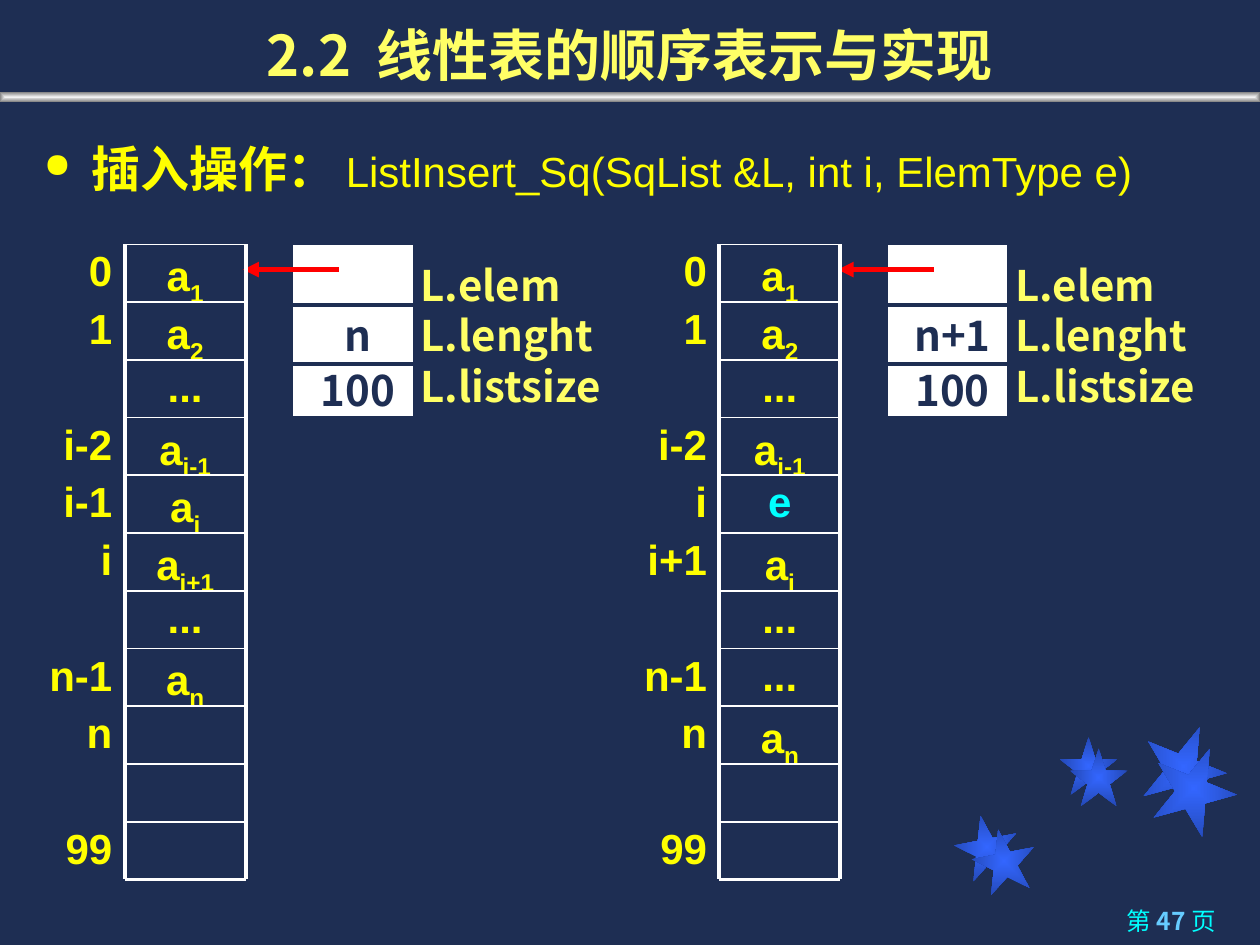
from dataclasses import dataclass
from pptx import Presentation
from pptx.dml.color import RGBColor
from pptx.enum.shapes import MSO_CONNECTOR as Connector, MSO_SHAPE as Shape
from pptx.enum.text import MSO_ANCHOR as Anchor, PP_ALIGN as Align
from pptx.oxml import parse_xml
from pptx.oxml.ns import nsdecls, qn
from pptx.util import Inches, Pt


@dataclass(frozen=True)
class Theme:
    navy: str = "1E2E53"
    white: str = "FFFFFF"
    yellow: str = "FFFF00"
    pale_yellow: str = "FFFF66"
    cyan: str = "00FFFF"
    sky: str = "66CCFF"
    red: str = "FF0000"
    star: tuple = ("3366FF", "2449B6")
    bar: tuple = ("F2F2F2", "808080")
    latin: str = "Arial"
    cjk: str = "Noto Sans CJK SC"
    title_size: int = 32
    heading_size: int = 28
    body_size: int = 24
    footer_size: int = 14
    thin: float = 1
    medium: float = 2.25
    thick: float = 3


class SlideBuilder:
    def __init__(self, slide, theme):
        self.slide = slide
        self.theme = theme
        self.shapes = slide.shapes
        slide.background.fill.solid()
        slide.background.fill.fore_color.rgb = RGBColor.from_string(theme.navy)

    def group(self):
        self.shapes = self.slide.shapes.add_group_shape().shapes

    def run(self, paragraph, text, color, size, font, bold=True, spacing=0, baseline=0):
        run = paragraph.add_run()
        run.text = text
        for name, value in {"size": Pt(size), "name": font, "bold": bold}.items():
            setattr(run.font, name, value)
        run.font.color.rgb = RGBColor.from_string(color)
        properties = run.font._element
        for name, value in {"spc": spacing, "baseline": baseline}.items():
            if value:
                properties.set(name, str(value))
        east_asian = parse_xml(f'<a:ea {nsdecls("a")} typeface="{self.theme.cjk}"/>')
        properties.find(qn("a:latin")).addnext(east_asian)

    def title(self, runs, box):
        title = self.slide.shapes.title
        for name, value in zip(("left", "top", "width", "height"), box):
            setattr(title, name, Inches(value))
        title.text_frame.vertical_anchor = Anchor.BOTTOM
        paragraph = title.text_frame.paragraphs[0]
        paragraph.alignment = Align.CENTER
        for run in runs:
            self.run(paragraph, **run)

    def text(self, box, lines, align=Align.LEFT, spacing=None, bullet=False):
        frame = self.shapes.add_textbox(*map(Inches, box)).text_frame
        frame.word_wrap = True
        for number, runs in enumerate(lines):
            paragraph = frame.add_paragraph() if number else frame.paragraphs[0]
            paragraph.alignment = align
            paragraph.line_spacing = spacing
            if bullet:
                self.bullet(paragraph)
            for run in runs:
                self.run(paragraph, **run)

    def bullet(self, paragraph):
        properties = paragraph._p.get_or_add_pPr()
        properties.set("marL", str(Inches(0.38)))
        properties.set("indent", str(-Inches(0.38)))
        for element in (
            f'<a:buClr {nsdecls("a")}><a:srgbClr val="{self.theme.yellow}"/></a:buClr>',
            f'<a:buSzPct {nsdecls("a")} val="70000"/>',
            f'<a:buChar {nsdecls("a")} char="●"/>',
        ):
            properties.append(parse_xml(element))

    def glow(self, kind, box, colors, rotation=0):
        shape = self.shapes.add_shape(kind, *map(Inches, box))
        shape.rotation = rotation
        shape.shadow.inherit = False
        shape.line.fill.background()
        shape.fill.gradient()
        for stop, color, position in zip(shape.fill.gradient_stops, colors, (0, 1)):
            stop.color.rgb = RGBColor.from_string(color)
            stop.position = position
        linear = shape._element.spPr.find(".//" + qn("a:lin"))
        linear.getparent().replace(linear, parse_xml(
            f'<a:path {nsdecls("a")} path="shape">'
            '<a:fillToRect l="50000" t="50000" r="50000" b="50000"/></a:path>'))

    def rectangle(self, box, fill, line, width):
        shape = self.shapes.add_shape(Shape.RECTANGLE, *map(Inches, box))
        shape.shadow.inherit = False
        shape.fill.solid()
        shape.fill.fore_color.rgb = RGBColor.from_string(fill)
        shape.line.color.rgb = RGBColor.from_string(line)
        shape.line.width = Pt(width)

    def line(self, start, end, color, width, arrow=False):
        line = self.shapes.add_connector(
            Connector.STRAIGHT, *map(Inches, (*start, *end)))
        line.line.color.rgb = RGBColor.from_string(color)
        line.line.width = Pt(width)
        if arrow:
            line.line._get_or_add_ln().append(
                parse_xml(f'<a:tailEnd {nsdecls("a")} type="triangle"/>'))
        line._element.spPr.append(parse_xml(f'<a:effectLst {nsdecls("a")}/>'))

    def record(self, left, length):
        theme = self.theme
        style = {"size": theme.body_size, "font": theme.cjk}
        fields = ("L.elem", "L.lenght", "L.listsize")
        self.text((left + 0.93, 2.01, 2, 1.3),
                  [[dict(text=field, color=theme.pale_yellow, **style)] for field in fields],
                  spacing=Pt(28.8))
        self.rectangle((left, 1.93, 0.98, 1.39), theme.white, theme.navy, theme.medium)
        for y in (2.42, 2.89):
            self.line((left, y), (left + 0.98, y), theme.navy, theme.medium)
        self.text((left, 2.37, 1.06, 0.98),
                  [[dict(text=value, color=theme.navy, **style)] for value in (length, "100")],
                  align=Align.CENTER, spacing=Pt(31.5))
        self.line((left + 0.38, 2.14), (left - 0.38, 2.14), theme.red, theme.thick, arrow=True)

    def array(self, left, rows, capacity=11, top=1.94, bottom=6.98, width=0.96):
        theme = self.theme
        pitch = (bottom - top) / capacity
        style = {"size": theme.body_size, "font": theme.latin}
        for row, (index, name, subscript) in enumerate(rows):
            y = top + row * pitch
            color = theme.cyan if name == "e" else theme.yellow
            if name:
                runs = [dict(text=name, color=color, **style)]
                if subscript:
                    runs.append(dict(text=subscript, color=color, baseline=-25000, **style))
                self.text((left, y, width, pitch), [runs], Align.CENTER, 0.9)
            if index:
                self.text((left - width, y, width, pitch),
                          [[dict(text=index, color=theme.yellow, **style)]], Align.RIGHT, 0.9)
        for row in range(capacity + 1):
            y = top + row * pitch
            weight = theme.medium if row == capacity else theme.thin
            self.line((left, y), (left + width, y), theme.white, weight)
        for x in (left, left + width):
            self.line((x, top), (x, bottom), theme.white, theme.medium)


def main():
    theme = Theme()
    deck = Presentation()
    deck.slide_width, deck.slide_height = Inches(10), Inches(7.5)
    page = SlideBuilder(deck.slides.add_slide(deck.slide_layouts[5]), theme)

    stars = ((7.58, 6.47, 0.5, 349), (8.41, 5.85, 0.46, 0), (9.06, 5.75, 0.67, 22),
             (7.72, 6.58, 0.5, 349), (8.49, 5.94, 0.46, 0), (9.14, 5.92, 0.67, 22))
    page.group()
    for x, y, size, rotation in stars:
        page.glow(Shape.STAR_5_POINT, (x, y, size, size), theme.star, rotation)
    page.shapes = page.slide.shapes
    page.glow(Shape.RECTANGLE, (0, 0.73, 10, 0.08), theme.bar)

    footer = {"size": theme.footer_size, "font": theme.cjk}
    page.text((7.12, 7.14, 2.63, 0.36), [[
        dict(text="第 ", color=theme.cyan, bold=False, **footer),
        dict(text="47 ", color=theme.sky, **footer),
        dict(text="页", color=theme.cyan, bold=False, **footer)]], Align.RIGHT)

    heading = {"color": theme.pale_yellow, "size": theme.title_size, "font": theme.cjk}
    page.title([dict(text="2.2", **heading), dict(text=" ", spacing=700, **heading),
                dict(text="线性表的顺序表示与实现", **heading)], (0, 0, 10, 0.75))
    page.text((0.25, 1, 9.43, 0.88), [[
        dict(text="插入操作：", color=theme.yellow, size=theme.heading_size, font=theme.latin),
        dict(text=" ListInsert_Sq(SqList &L, int i, ElemType e)", color=theme.yellow,
             size=theme.body_size, font=theme.latin, bold=False)]], spacing=1.1, bullet=True)

    before = (("0", "a", "1"), ("1", "a", "2"), ("", "...", ""), ("i-2", "a", "i-1"),
              ("i-1", "a", "i"), ("i", "a", "i+1"), ("", "...", ""), ("n-1", "a", "n"),
              ("n", "", ""), ("", "", ""), ("99", "", ""))
    after = before[:4] + (("i", "e", ""), ("i+1", "a", "i"), ("", "...", ""),
                          ("n-1", "...", ""), ("n", "a", "n")) + before[9:]
    for left, length, rows in ((0.99, "n", before), (5.71, "n+1", after)):
        page.group()
        page.record(left + 1.32, length)
        page.array(left, rows)

    deck.save("out.pptx")


if __name__ == "__main__":
    main()
